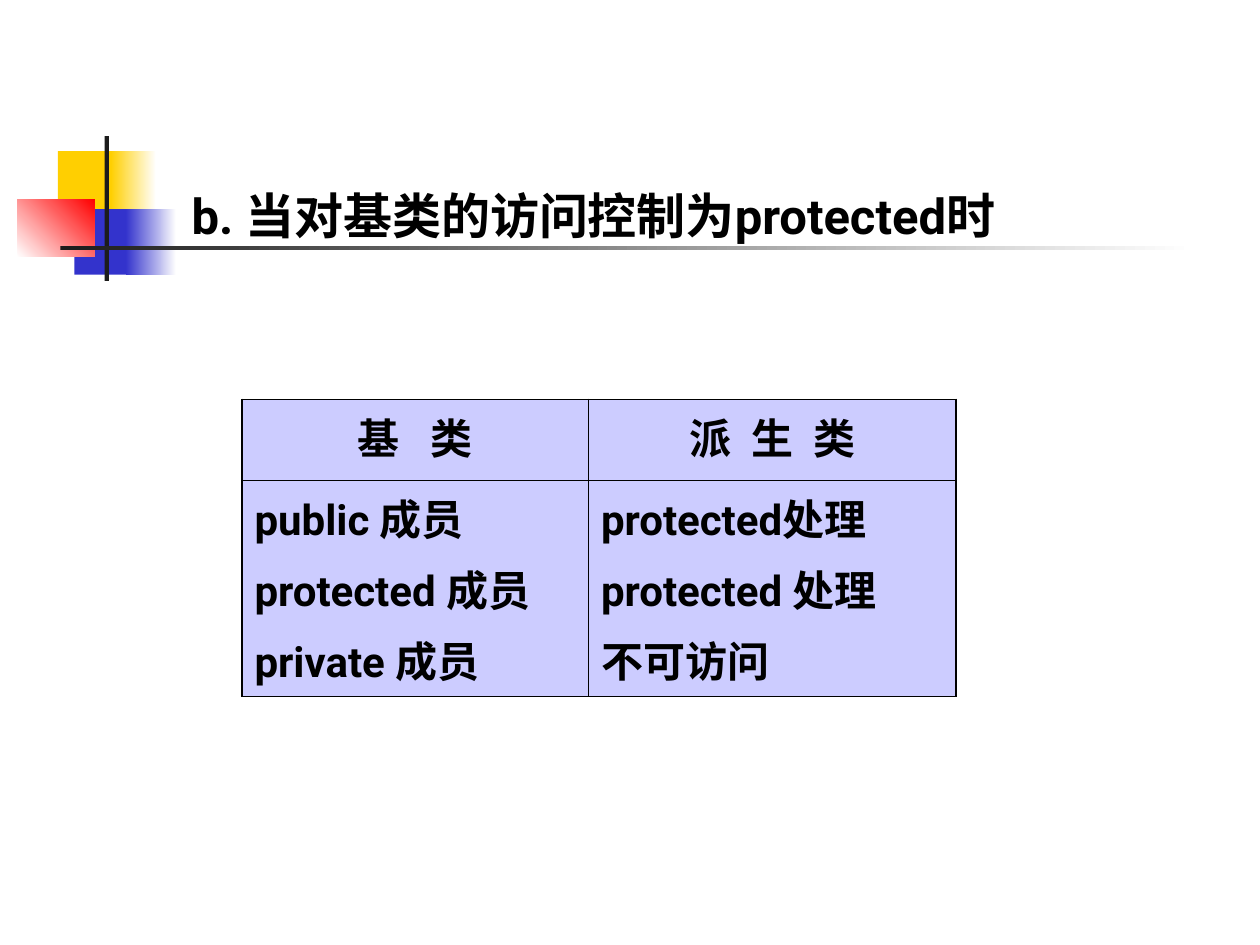
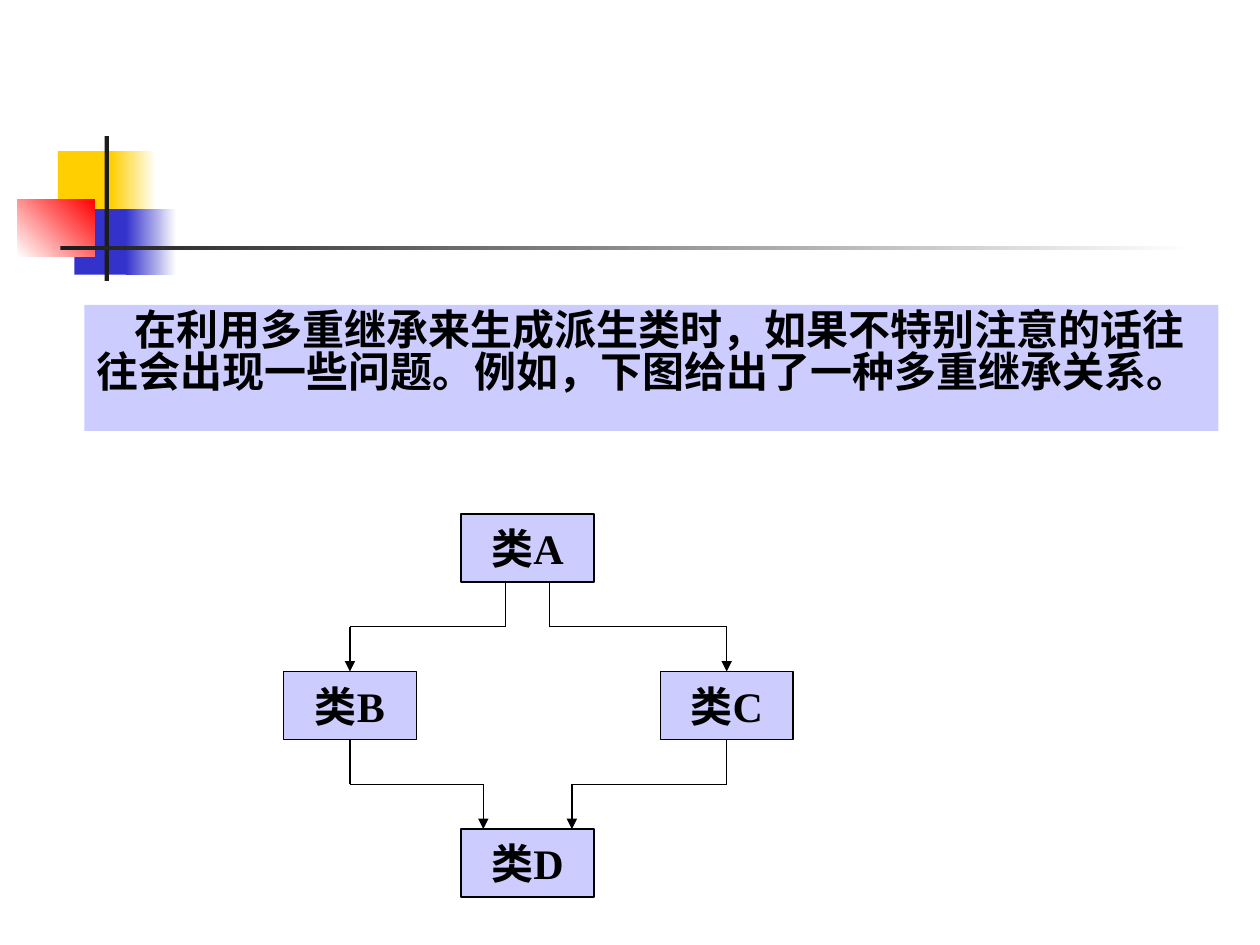
from typing import NamedTuple, Optional

from lxml import etree
from pptx import Presentation
from pptx.dml.color import RGBColor
from pptx.enum.shapes import MSO_CONNECTOR as Connector, MSO_SHAPE as Preset
from pptx.enum.text import MSO_ANCHOR as Anchor, PP_ALIGN as Align
from pptx.oxml.ns import qn
from pptx.util import Inches, Pt

WIDTH, HEIGHT = Inches(10), Inches(7.5)
BLACK = RGBColor(0x00, 0x00, 0x00)
WHITE = RGBColor(0xFF, 0xFF, 0xFF)
CHARCOAL = RGBColor(0x1C, 0x1C, 0x1C)
YELLOW = RGBColor(0xFF, 0xCF, 0x01)
BLUE = RGBColor(0x33, 0x33, 0xCC)
RED = RGBColor(0xFF, 0x00, 0x00)
LAVENDER = RGBColor(0xCC, 0xCC, 0xFF)
LATIN, CHINESE, SERIF = "Roboto", "Noto Sans CJK SC", "Times New Roman"
TITLE_SIZE, TEXT_SIZE = 28, 24
OUTER_BORDER, INNER_BORDER, LINE_WIDTH = 1.08, 0.45, 0.75


class Box(NamedTuple):
    """A rectangle in percent of the slide's width and height."""
    left: float
    top: float
    width: float
    height: float

    def lengths(self):
        return across(self.left), down(self.top), across(self.width), down(self.height)


class Block(NamedTuple):
    box: Box
    start: RGBColor
    end: Optional[RGBColor] = None
    angle: float = 0


class Node(NamedTuple):
    name: str
    left: float
    row: int


class Link(NamedTuple):
    """A stepped arrow; exit and entry are shares of the node's width."""
    parent: str
    exit: float
    child: str
    entry: float


ORNAMENT = [
    Block(Box(4.6, 16, 4.8, 6.93), YELLOW),
    Block(Box(8.8, 16, 3.6, 6.93), YELLOW, WHITE),
    Block(Box(5.9, 22.13, 4.6, 6.93), BLUE),
    Block(Box(10, 22.13, 4, 6.93), BLUE, WHITE),
    Block(Box(1.4, 21.07, 6.1, 6.13), WHITE, RED, 45),
    Block(Box(8.3, 14.4, 0.35, 15.33), CHARCOAL),
    Block(Box(4.8, 26, 90, 0.47), CHARCOAL, WHITE),
]
TITLE_BOX = Box(14.2, 18.93, 79.2, 7.73)
TABLE_BOX = Box(19.2, 42.27, 56.7, 28.53)
TABLE_COLUMNS, TABLE_ROWS = (27.5, 29.2), (8.53, 20)
HEADINGS = [("基 类", 6), ("派 生 类", 3)]
MEMBER_COLUMNS = [
    [("public ", "成员"), ("protected ", "成员"), ("private ", "成员")],
    [("protected", "处理"), ("protected ", "处理"), ("不可访问",)],
]
INTRO_BOX = Box(6.7, 32.27, 90, 13.33)
INTRO = "在利用多重继承来生成派生类时，如果不特别注意的话往往会出现一些问题。例如，下图给出了一种多重继承关系。"
NODE_WIDTH, NODE_HEIGHT, NODE_TOP, NODE_PITCH = 10.55, 7.2, 54.4, 16.67
NODES = [Node("A", 36.6, 0), Node("B", 22.5, 1), Node("C", 52.4, 1), Node("D", 36.6, 2)]
LINKS = [
    Link("A", 1 / 3, "B", 1 / 2),
    Link("A", 2 / 3, "C", 1 / 2),
    Link("B", 1 / 2, "D", 1 / 6),
    Link("C", 1 / 2, "D", 5 / 6),
]


def across(percent: float) -> int:
    return round(WIDTH * percent / 100)


def down(percent: float) -> int:
    return round(HEIGHT * percent / 100)


def add_runs(paragraph, texts, size=TEXT_SIZE, font=None, tracking=0) -> None:
    """Add bold black runs, choosing the font by script unless one is given."""
    for text in texts:
        run = paragraph.add_run()
        run.text = text
        run.font.size, run.font.bold = Pt(size), True
        run.font.color.rgb = BLACK
        run.font.name = font or (LATIN if text.isascii() else CHINESE)
        properties = run._r.get_or_add_rPr()
        etree.SubElement(properties, qn("a:ea"), typeface=CHINESE)
        if tracking:
            properties.set("spc", str(tracking * 100))


def add_block(slide, block: Block):
    shape = slide.shapes.add_shape(Preset.RECTANGLE, *block.box.lengths())
    shape.shadow.inherit = False
    shape.line.fill.background()
    if block.end is None:
        shape.fill.solid()
        shape.fill.fore_color.rgb = block.start
    else:
        shape.fill.gradient()
        shape.fill.gradient_angle = block.angle
        for stop, color in zip(shape.fill.gradient_stops, (block.start, block.end)):
            stop.color.rgb = color
    return shape


def add_slide(presentation, layout_index: int):
    slide = presentation.slides.add_slide(presentation.slide_layouts[layout_index])
    for block in ORNAMENT:
        add_block(slide, block)
    return slide


def set_borders(cell, **widths: float) -> None:
    properties = cell._tc.get_or_add_tcPr()
    for position, side in enumerate("LRTB"):
        line = etree.Element(qn(f"a:ln{side}"), w=str(Pt(widths[side])))
        fill = etree.SubElement(line, qn("a:solidFill"))
        etree.SubElement(fill, qn("a:srgbClr"), val=str(BLACK))
        properties.insert(position, line)


def add_access_table(slide) -> None:
    table = slide.shapes.add_table(2, 2, *TABLE_BOX.lengths()).table
    for column, width in zip(table.columns, TABLE_COLUMNS):
        column.width = across(width)
    for row, height in zip(table.rows, TABLE_ROWS):
        row.height = down(height)
    for column, ((heading, tracking), members) in enumerate(zip(HEADINGS, MEMBER_COLUMNS)):
        for row in range(2):
            cell = table.cell(row, column)
            cell.fill.solid()
            cell.fill.fore_color.rgb = LAVENDER
            edges = {"L": column == 0, "R": column == 1, "T": row == 0, "B": row == 1}
            set_borders(cell, **{side: OUTER_BORDER if outer else INNER_BORDER
                                 for side, outer in edges.items()})
        paragraph = table.cell(0, column).text_frame.paragraphs[0]
        paragraph.alignment = Align.CENTER
        add_runs(paragraph, [heading], tracking=tracking)
        frame = table.cell(1, column).text_frame
        for index, texts in enumerate(members):
            paragraph = frame.add_paragraph() if index else frame.paragraphs[0]
            if index:
                paragraph.space_before = Pt(6)
            add_runs(paragraph, texts)


def add_node(slide, node: Node):
    box = Box(node.left, NODE_TOP + node.row * NODE_PITCH, NODE_WIDTH, NODE_HEIGHT)
    shape = add_block(slide, Block(box, LAVENDER))
    shape.line.color.rgb = BLACK
    shape.line.width = Pt(LINE_WIDTH)
    shape.text_frame.vertical_anchor = Anchor.MIDDLE
    paragraph = shape.text_frame.paragraphs[0]
    paragraph.alignment = Align.CENTER
    add_runs(paragraph, [f"类{node.name}"], font=SERIF)
    return shape


def add_line(slide, start, end, arrow=False):
    line = slide.shapes.add_connector(Connector.STRAIGHT, *start, *end)
    line.line.color.rgb = BLACK
    line.line.width = Pt(LINE_WIDTH)
    if arrow:
        etree.SubElement(line.line._get_or_add_ln(), qn("a:tailEnd"), type="triangle")
    etree.SubElement(line._element.spPr, qn("a:effectLst"))
    return line


def add_link(slide, shapes, link: Link) -> None:
    parent, child = shapes[link.parent], shapes[link.child]
    exit_x = round(parent.left + parent.width * link.exit)
    entry_x = round(child.left + child.width * link.entry)
    bottom = parent.top + parent.height
    middle = (bottom + child.top) // 2
    stem = add_line(slide, (exit_x, bottom), (exit_x, middle))
    add_line(slide, (exit_x, middle), (entry_x, middle))
    arrow = add_line(slide, (entry_x, middle), (entry_x, child.top), arrow=True)
    if link.exit == 1 / 2:
        stem.begin_connect(parent, 2)
    if link.entry == 1 / 2:
        arrow.end_connect(child, 0)


def build_access_slide(presentation) -> None:
    slide = add_slide(presentation, 5)
    title = slide.shapes.title
    title.left, title.top, title.width, title.height = TITLE_BOX.lengths()
    title.text_frame.vertical_anchor = Anchor.TOP
    paragraph = title.text_frame.paragraphs[0]
    paragraph.alignment = Align.LEFT
    add_runs(paragraph, ["b. ", "当对基类的访问控制为", "protected", "时"], TITLE_SIZE)
    add_access_table(slide)


def build_inheritance_slide(presentation) -> None:
    slide = add_slide(presentation, 6)
    intro = add_block(slide, Block(INTRO_BOX, LAVENDER))
    intro.text_frame.word_wrap = True
    intro.text_frame.vertical_anchor = Anchor.TOP
    paragraph = intro.text_frame.paragraphs[0]
    paragraph.alignment = Align.LEFT
    paragraph.line_spacing = 0.84
    paragraph._p.get_or_add_pPr().set("indent", str(across(3)))
    add_runs(paragraph, [INTRO])
    shapes = {node.name: add_node(slide, node) for node in NODES}
    for link in LINKS:
        add_link(slide, shapes, link)


def main() -> None:
    presentation = Presentation()
    presentation.slide_width, presentation.slide_height = WIDTH, HEIGHT
    build_access_slide(presentation)
    build_inheritance_slide(presentation)
    presentation.save("out.pptx")


if __name__ == "__main__":
    main()
